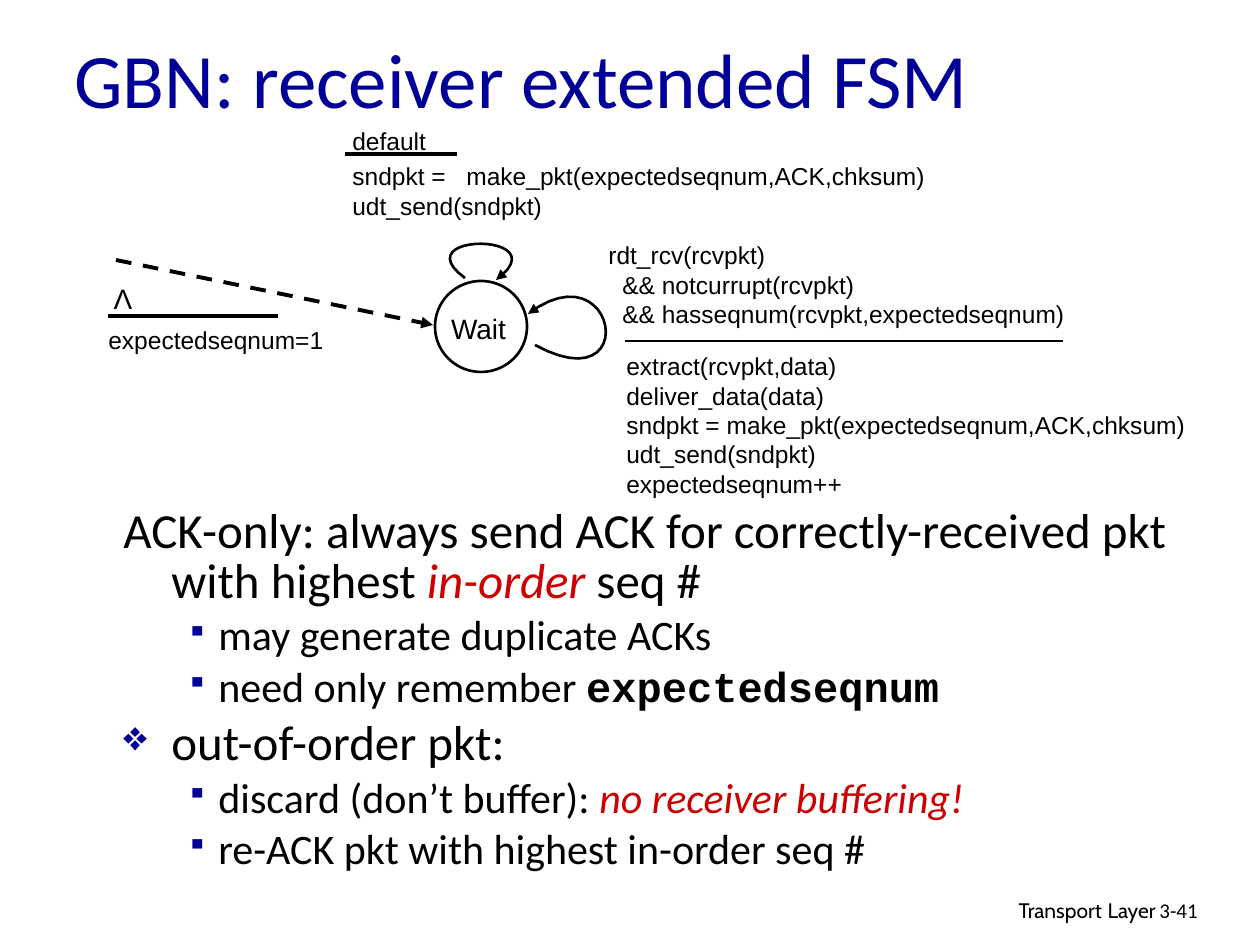
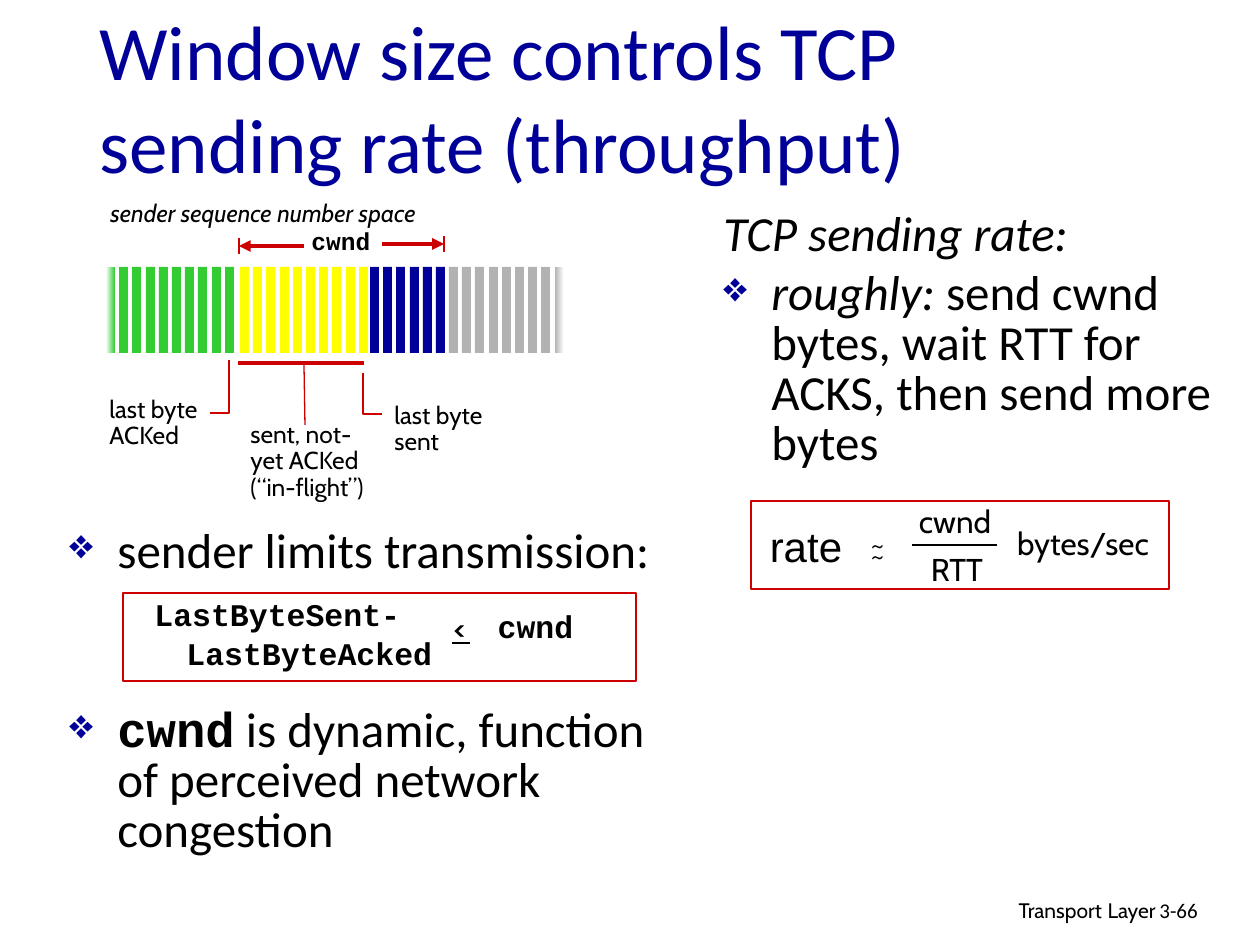
from dataclasses import dataclass

from lxml import etree
from pptx import Presentation
from pptx.dml.color import RGBColor
from pptx.enum.dml import MSO_LINE
from pptx.enum.shapes import MSO_CONNECTOR, MSO_SHAPE
from pptx.enum.text import MSO_ANCHOR, PP_ALIGN
from pptx.oxml.ns import qn
from pptx.slide import Slide
from pptx.util import Inches, Pt

PX = Inches(1) / 126
BLACK = RGBColor(0x00, 0x00, 0x00)
WHITE = RGBColor(0xFF, 0xFF, 0xFF)
NAVY = RGBColor(0x00, 0x00, 0x99)
RED = RGBColor(0xCC, 0x00, 0x00)
GREEN = RGBColor(0x33, 0xCC, 0x33)
YELLOW = RGBColor(0xFF, 0xFF, 0x00)
GRAY = RGBColor(0xB2, 0xB2, 0xB2)

ARIAL, CABIN, CALIBRI, COURIER = "Arial", "Cabin", "Calibri", "Courier New"
CENTER, RIGHT = PP_ALIGN.CENTER, PP_ALIGN.RIGHT
TOP, MIDDLE = MSO_ANCHOR.TOP, MSO_ANCHOR.MIDDLE
STRAIGHT = MSO_CONNECTOR.STRAIGHT
RECTANGLE, OVAL = MSO_SHAPE.RECTANGLE, MSO_SHAPE.OVAL
DASH = MSO_LINE.DASH

CODE = {"font": ARIAL, "size": 14}
LABEL = {"font": CABIN, "size": 14, "line_spacing": 0.9}
FORMULA = {"font": CABIN, "size": 18, "align": CENTER, "wrap": False}
MONO = {"font": COURIER, "bold": True}
EMPHASIS = {"italic": True, "color": RED}


@dataclass
class Region:
    """A part of a slide; its contents are placed from its left top corner."""
    slide: Slide
    left: int
    top: int

    def point(self, x, y):
        return px(self.left + x), px(self.top + y)

    def box(self, left, top, width, height):
        return (*self.point(left, top), px(width), px(height))


def px(length):
    return round(length * PX)


# ---- Drawing helpers ----

def format_paragraph(paragraph, style):
    paragraph.alignment = style.get("align")
    paragraph.line_spacing = style.get("line_spacing")
    if "space_before" in style:
        paragraph.space_before = Pt(style["space_before"])
    properties = paragraph._p.get_or_add_pPr()
    properties.set("marL", str(px(style.get("margin", 0))))
    properties.set("indent", str(px(style.get("indent", 0))))
    if "bullet" in style:
        color = etree.SubElement(properties, qn("a:buClr"))
        etree.SubElement(color, qn("a:srgbClr"), val=str(NAVY))
        etree.SubElement(properties, qn("a:buSzPct"), val=str(style["bullet_size"] * 1000))
        etree.SubElement(properties, qn("a:buChar"), char=style["bullet"])


def add_text(region, box, text, **style):
    """Text is a string with one paragraph a line, or a list of (runs, style)."""
    frame = region.slide.shapes.add_textbox(*region.box(*box)).text_frame
    frame.word_wrap = style.get("wrap", True)
    frame.vertical_anchor = style.get("anchor", TOP)
    if isinstance(text, str):
        text = [([(line, {})], {}) for line in text.split("\n")]
    for index, (runs, paragraph_style) in enumerate(text):
        paragraph = frame.add_paragraph() if index else frame.paragraphs[0]
        merged = {**style, **paragraph_style}
        format_paragraph(paragraph, merged)
        for words, run_style in runs:
            look = {**merged, **run_style}
            run = paragraph.add_run()
            run.text = words
            run.font.name = look["font"]
            run.font.size = Pt(look["size"])
            run.font.bold = look.get("bold", False)
            run.font.italic = look.get("italic", False)
            run.font.color.rgb = look.get("color", BLACK)


def style_line(line, color, width, arrow=False):
    line.color.rgb = color
    line.width = Pt(width)
    if arrow:
        etree.SubElement(line._get_or_add_ln(), qn("a:tailEnd"), type="triangle")


def add_line(region, start, end, color=BLACK, width=1.5, arrow=False, dash=None):
    connector = region.slide.shapes.add_connector(
        STRAIGHT, *region.point(*start), *region.point(*end))
    if dash:
        connector.line.dash_style = dash
    style_line(connector.line, color, width, arrow)
    etree.SubElement(connector._element.spPr, qn("a:effectLst"))


def add_outline(region, points, color=BLACK, width=1.5, arrow=False):
    first, *rest = [region.point(*point) for point in points]
    builder = region.slide.shapes.build_freeform(*first)
    builder.add_line_segments(rest, close=False)
    shape = builder.convert_to_shape()
    shape.shadow.inherit = False
    shape.fill.background()
    style_line(shape.line, color, width, arrow)


def add_loop(region, *controls, steps=24):
    """Self-transition arrow along a cubic curve with four control points."""
    points = []
    for step in range(steps + 1):
        t = step / steps
        weights = ((1 - t) ** 3, 3 * t * (1 - t) ** 2, 3 * t * t * (1 - t), t ** 3)
        points.append([sum(w * control[axis] for w, control in zip(weights, controls))
                       for axis in (0, 1)])
    add_outline(region, points, arrow=True)


def add_shape(region, kind, box, fill=None, line=None, width=1.0):
    """Fill is one colour, a pair of colours for a gradient, or None."""
    shape = region.slide.shapes.add_shape(kind, *region.box(*box))
    shape.shadow.inherit = False
    if fill is None:
        shape.fill.background()
    elif isinstance(fill, RGBColor):
        shape.fill.solid()
        shape.fill.fore_color.rgb = fill
    else:
        shape.fill.gradient()
        shape.fill.gradient_angle = 0
        for stop, color in zip(shape.fill.gradient_stops, fill):
            stop.color.rgb = color
    if line is None:
        shape.line.fill.background()
    else:
        style_line(shape.line, line, width)


# ---- Parts the slides share ----

def add_base(presentation, title, title_box, number):
    slide = presentation.slides.add_slide(presentation.slide_layouts[6])
    page = Region(slide, 0, 0)
    footer = [("Transport", {}), (" ", {"size": 14}), ("Layer", {})]
    add_text(page, (769, 888, 399, 39), [(footer, {})], font=CABIN, size=12, align=RIGHT)
    add_text(page, (1147, 891, 93, 38), number, font=CALIBRI, size=12)
    add_text(page, title_box, title, font=CALIBRI, size=44, color=NAVY, anchor=MIDDLE)
    return slide


def lead(*runs):
    return list(runs), {"size": 28, "space_before": 5.6, "margin": 48, "indent": -48}


def point(*runs, **extra):
    runs, style = lead(*runs)
    return runs, {**style, "bullet": "❖", "bullet_size": 85, **extra}


def subpoint(*runs):
    return list(runs), {"size": 24, "space_before": 4.8, "margin": 95, "indent": -32,
                        "bullet": "▪", "bullet_size": 70}


def add_body(region, size, paragraphs):
    add_text(region, (0, 0, *size), paragraphs, font=CALIBRI, line_spacing=0.85)


# ---- Receiver state machine ----

def draw_wait_state(region):
    add_shape(region, OVAL, (0, 0, 92, 91), WHITE, BLACK, 1.5)
    add_text(region, (-12, 24, 111, 33), "Wait", font=ARIAL, size=16, align=CENTER)


def draw_initial_transition(region):
    add_line(region, (20, 4), (337, 69), width=2.25, arrow=True, dash=DASH)
    add_text(region, (5, 19, 44, 47), "Λ", font=ARIAL, size=16, align=CENTER, wrap=False)
    add_line(region, (12, 60), (182, 60), width=2.25)
    add_text(region, (0, 63, 300, 40), "expectedseqnum=1", **CODE)


def draw_default_transition(region):
    add_text(region, (0, 0, 100, 34), "default", **CODE)
    add_line(region, (5, 34), (117, 34), width=2.25)
    add_text(region, (0, 35, 300, 70), "sndpkt =\nudt_send(sndpkt)", **CODE)
    add_text(region, (114, 35, 600, 40), "make_pkt(expectedseqnum,ACK,chksum)", **CODE)
    add_loop(region, (125, 158), (62, 112), (221, 112), (156, 160))


def draw_receive_transition(region):
    conditions = [([("rdt_rcv(rcvpkt)", {})], {})]
    for check in ("notcurrupt(rcvpkt)", "hasseqnum(rcvpkt,expectedseqnum)"):
        conditions.append(([("&& " + check, {})], {"margin": 14}))
    add_text(region, (68, 0, 491, 98), conditions, **CODE)
    add_line(region, (97, 107), (535, 107))
    add_text(region, (86, 111, 595, 160),
             "extract(rcvpkt,data)\ndeliver_data(data)\n"
             "sndpkt = make_pkt(expectedseqnum,ACK,chksum)\n"
             "udt_send(sndpkt)\nexpectedseqnum++", **CODE)
    add_loop(region, (7, 111), (115, 170), (89, 12), (0, 80))


def build_receiver_slide(presentation):
    slide = add_base(presentation, "GBN: receiver extended FSM", (62, 29, 1071, 97), "3-41")
    add_body(Region(slide, 111, 502), (1123, 393), [
        lead(("ACK-only: always send ACK for correctly-received pkt with highest ", {}),
             ("in-order", EMPHASIS), (" seq #", {})),
        subpoint(("may generate duplicate ACKs", {})),
        subpoint(("need only remember ", {}), ("expectedseqnum", MONO)),
        point(("out-of-order pkt:", {})),
        subpoint(("discard (don’t buffer): ", {}), ("no receiver buffering!", EMPHASIS)),
        subpoint(("re-ACK pkt with highest in-order seq #", {})),
    ])
    draw_wait_state(Region(slide, 435, 281))
    draw_initial_transition(Region(slide, 96, 256))
    draw_default_transition(Region(slide, 340, 120))
    draw_receive_transition(Region(slide, 528, 234))


# ---- Congestion window ----

def draw_sequence_space(region):
    # Byte bars: start, colours of the bars
    bar_groups = [
        (9, [(WHITE, GREEN)] + [GREEN] * 9),
        (143, [YELLOW] * 10),
        (273, [NAVY] * 6),
        (352, [GRAY] * 8 + [(GRAY, WHITE)]),
    ]
    for start, fills in bar_groups:
        for index, fill in enumerate(fills):
            add_shape(region, RECTANGLE, (start + round(index * 13.2), 75, 9, 86), fill)

    # Window width
    add_text(region, (1, 0, 375, 42), "sender sequence number space",
             font=CABIN, size=14, italic=True)
    add_text(region, (202, 31, 84, 39), "cwnd", align=CENTER, wrap=False, **{**LABEL, **MONO})
    for inner, edge, y in ((207, 142, 54), (285, 347, 52)):
        add_line(region, (inner, y), (edge, y), RED, 2.25, arrow=True)
        add_line(region, (edge, y - 8), (edge, y + 8), RED, 0.75)

    # Pointers and their labels
    add_line(region, (141, 171), (267, 171), RED, 2.25)
    add_line(region, (207, 173), (208, 233), RED, 0.75)
    add_outline(region, [(132, 168), (132, 221), (113, 221)], RED, 1)
    add_outline(region, [(266, 181), (266, 222), (285, 222)], RED, 1)
    add_text(region, (0, 199, 120, 66), "last byte\nACKed", **LABEL)
    add_text(region, (141, 224, 147, 92), "sent, not-yet ACKed\n(“in-flight”)", **LABEL)
    add_text(region, (285, 205, 147, 66), "last byte sent", **LABEL)


def draw_limit_formula(region):
    difference = [([("LastByteSent-", {})], {}), ([("LastByteAcked", {})], {"margin": 32})]
    add_text(region, (19, 2, 388, 84), difference, size=18, line_spacing=0.85,
             space_before=3.6, **MONO)
    add_text(region, (313, 12, 48, 47), "<", **{**FORMULA, "size": 16, "bold": True})
    add_line(region, (329, 50), (347, 50))
    add_text(region, (362, 8, 101, 50), "cwnd", **{**FORMULA, **MONO})
    add_shape(region, RECTANGLE, (0, 0, 513, 88), line=RED)


def draw_rate_formula(region):
    add_text(region, (0, 13, 110, 63), "rate", **{**FORMULA, "font": ARIAL, "size": 24})
    for top in (16, 27):
        add_text(region, (62, top, 129, 50), "~", **FORMULA)
    add_text(region, (144, -5, 120, 50), "cwnd", **FORMULA)
    add_line(region, (161, 44), (246, 44))
    add_text(region, (156, 43, 100, 50), "RTT", **FORMULA)
    add_text(region, (242, 17, 180, 50), "bytes/sec", **FORMULA)
    add_shape(region, RECTANGLE, (0, 0, 418, 88), line=RED)


def build_window_slide(presentation):
    slide = add_base(presentation, "Window size controls TCP sending rate (throughput)",
                     (87, 43, 1071, 106), "3-66")
    add_body(Region(slide, 57, 522), (625, 350), [
        point(("sender limits transmission:", {})),
        point(("cwnd", MONO), (" is dynamic, function of perceived network congestion", {}),
              space_before=74),
    ])
    add_body(Region(slide, 711, 205), (525, 338), [
        lead(("TCP sending rate:", {"italic": True})),
        point(("roughly:", {"italic": True}),
              (" send cwnd bytes, wait RTT for ACKS, then send more bytes", {})),
    ])
    draw_sequence_space(Region(slide, 97, 192))
    draw_limit_formula(Region(slide, 123, 593))
    draw_rate_formula(Region(slide, 751, 501))


def main():
    presentation = Presentation()
    presentation.slide_width = px(1260)
    presentation.slide_height = px(945)
    build_receiver_slide(presentation)
    build_window_slide(presentation)
    presentation.save("out.pptx")


if __name__ == "__main__":
    main()
